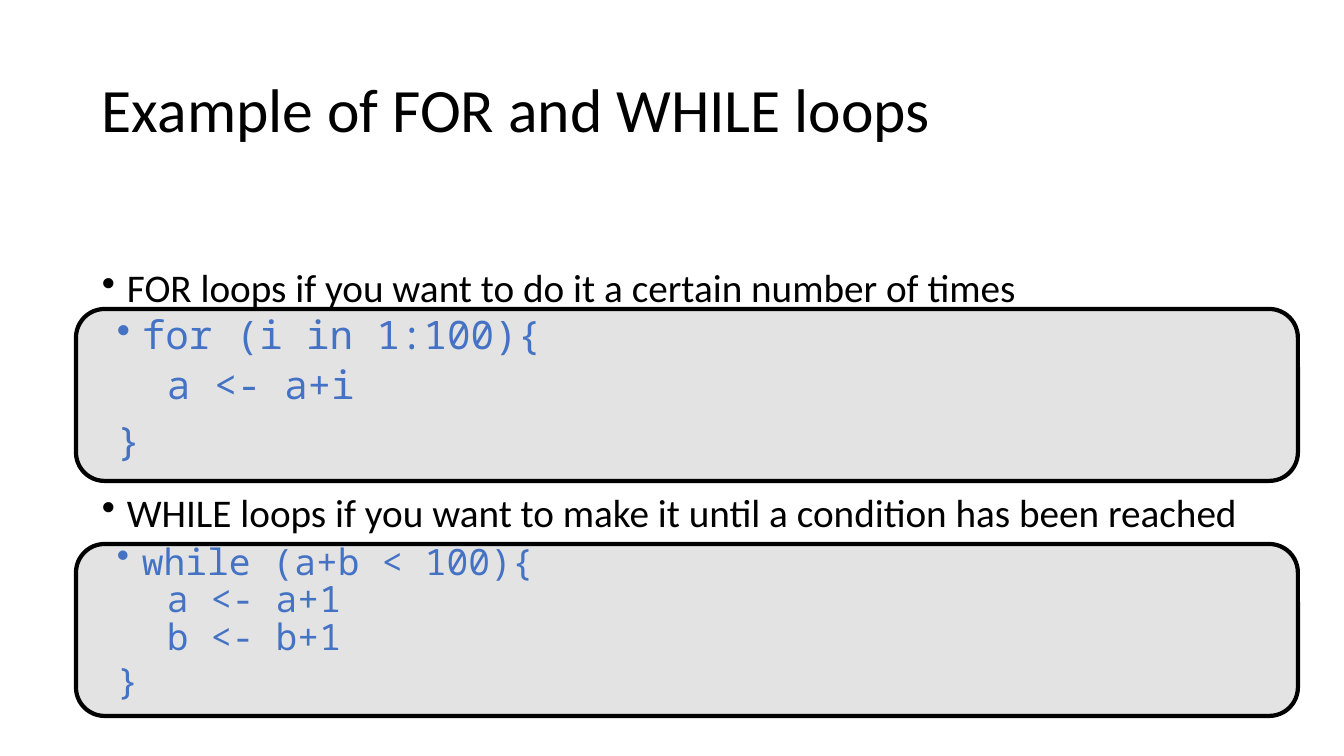
import pptx
import pptx.dml.color
import pptx.enum.shapes
import pptx.enum.text
import pptx.oxml
import pptx.oxml.ns
import pptx.util
import lxml.etree

PX = 914400 / 100.8
COLORS = {"text": "000000", "code": "4472C4", "panel": "C9C9C9", "outline": "000000"}
INDENT = 25


def px(length):
    return pptx.util.Emu(round(length * PX))


def add_text(frame, text, font="Calibri", size=28, color="text", line_spacing=0.9,
             before=10, bullet=False, level=0):
    """Append one paragraph, reusing the frame's first one while it is empty."""
    paragraph = frame.paragraphs[0] if not frame.text else frame.add_paragraph()
    paragraph.line_spacing = line_spacing
    paragraph.space_before = pptx.util.Pt(before)
    paragraph.level = level
    run = paragraph.add_run()
    run.text = text
    run.font.name = font
    run.font.size = pptx.util.Pt(size)
    run.font.color.rgb = pptx.dml.color.RGBColor.from_string(COLORS[color])
    properties = paragraph._p.get_or_add_pPr()
    properties.set("marL", str(px(INDENT * (2 * level or bullet))))
    properties.set("indent", str(px(-INDENT * bullet)))
    if bullet:
        mark = lxml.etree.SubElement(properties, pptx.oxml.ns.qn("a:buChar"))
        mark.set("char", "•")


presentation = pptx.Presentation()
presentation.slide_width = px(1344)
presentation.slide_height = px(756)
slide = presentation.slides.add_slide(presentation.slide_layouts[6])

# Title
title = slide.shapes.add_textbox(px(92), px(40), px(1159), px(146)).text_frame
title.word_wrap = True
title.vertical_anchor = pptx.enum.text.MSO_ANCHOR.MIDDLE
add_text(title, "Example of FOR and WHILE loops", size=44, before=0)

# Explanations, spaced to leave room for the first code panel
explanations = slide.shapes.add_textbox(px(92), px(264), px(1159), px(417)).text_frame
explanations.word_wrap = True
add_text(explanations, "FOR loops if you want to do it a certain number of times",
         before=0, bullet=True)
add_text(explanations, "WHILE loops if you want to make it until a condition has been reached",
         before=130, bullet=True)

# Code panels: top, font size, line spacing, opening line, body lines
loops = [
    (309, 28, 0.9, "for (i in 1:100){", ["a <- a+i"]),
    (544, 25.9, 0.7, "while (a+b < 100){", ["a <- a+1", "b <- b+1"]),
]
for top, size, line_spacing, opening, body in loops:
    panel = slide.shapes.add_shape(pptx.enum.shapes.MSO_SHAPE.ROUNDED_RECTANGLE,
                                   px(76), px(top), px(1222), px(172))
    panel.shadow.inherit = False
    panel.fill.solid()
    panel.fill.fore_color.rgb = pptx.dml.color.RGBColor.from_string(COLORS["panel"])
    panel_color = panel._element.spPr.find(".//" + pptx.oxml.ns.qn("a:srgbClr"))
    lxml.etree.SubElement(panel_color, pptx.oxml.ns.qn("a:alpha")).set("val", "50000")
    panel.line.color.rgb = pptx.dml.color.RGBColor.from_string(COLORS["outline"])
    panel.line.width = pptx.util.Pt(3)

    code = slide.shapes.add_textbox(px(107), px(top + 2), px(1159), px(169)).text_frame
    code.word_wrap = True
    code_format = {"font": "Noto Sans Mono", "size": size, "color": "code",
                   "line_spacing": line_spacing}
    add_text(code, opening, bullet=True, **code_format)
    for statement in body:
        add_text(code, statement, before=5, level=1, **code_format)
    add_text(code, "}", **code_format)

presentation.save("out.pptx")
